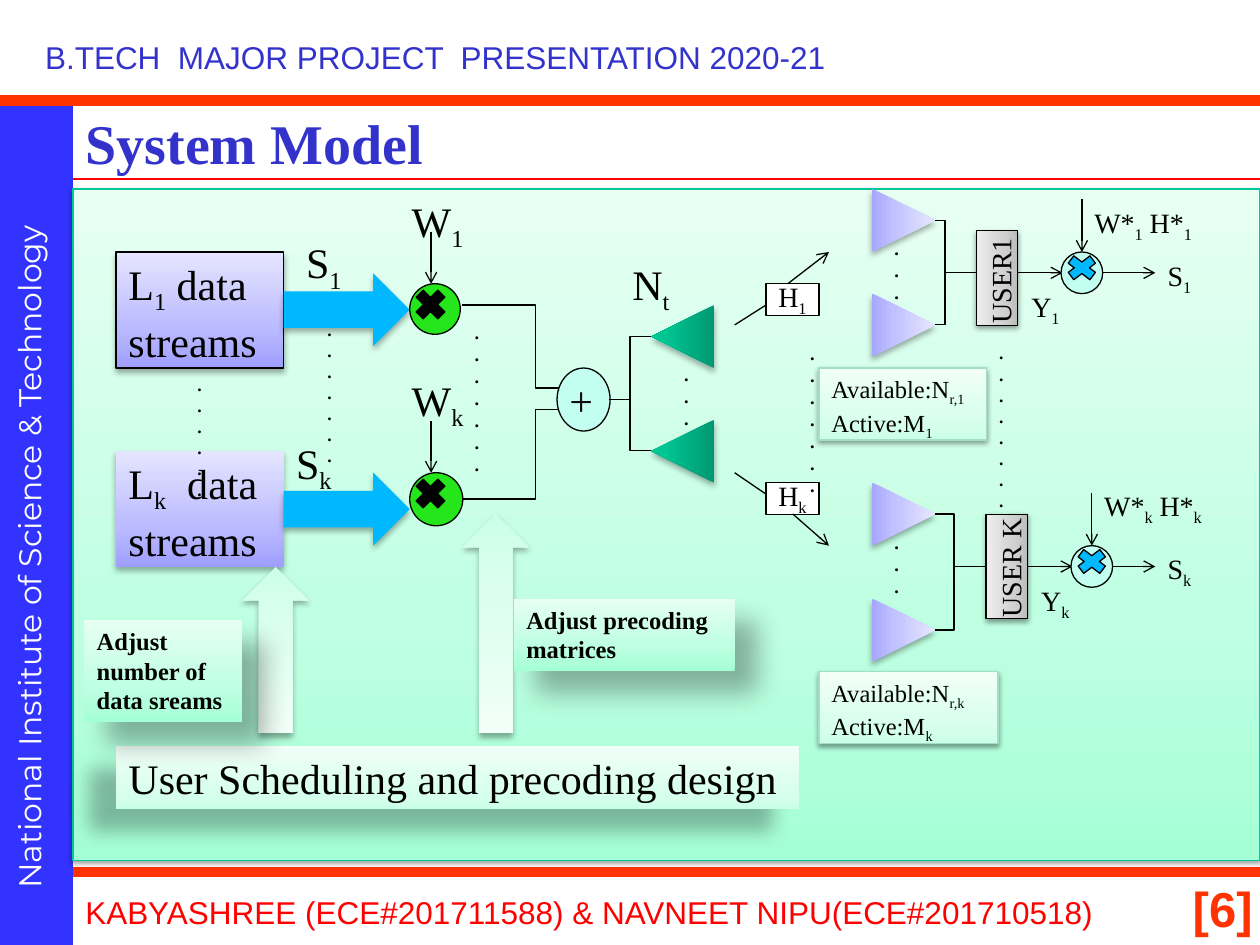
from lxml.etree import SubElement
from pptx import Presentation
from pptx.dml.color import RGBColor
from pptx.enum.shapes import MSO_CONNECTOR, MSO_SHAPE
from pptx.enum.text import MSO_ANCHOR, PP_ALIGN
from pptx.oxml.ns import qn
from pptx.util import Cm, Pt

SERIF = "Times New Roman"
VIOLET = [(0, "9F9FFF"), (35, "BBBBFF"), (100, "E5E5FF")]
LILAC = [(0, "A7A7FF"), (35, "C1C1FF"), (100, "E7E7FF")]
MINT = [(0, "A5FFD6"), (35, "BFFFE2"), (100, "E7FFF3")]
PALE = [(0, "CCFFE8"), (35, "DAFFEE"), (100, "F1FFF8")]
GREEN = [(0, "009872"), (80, "00C694"), (100, "00C795")]
GREY = [(0, "BDBDBD"), (35, "D1D1D1"), (100, "EEEEEE")]
SOFT = (32, 3.5, 2.2, 90)
THIN = (38, 3.1, 1.6, 90)
DEEP = (30, 15, 18, 45)
WIDE = (28, 11.8, 19.7, 141)


def rgb(value):
    """Turn a hex string into a colour."""
    return RGBColor.from_string(value)


def set_gradient(sp, stops):
    """Fill a shape with a gradient that rises from its bottom edge."""
    sp.fill.gradient()
    sp.fill.gradient_angle = 90
    gs_list = sp._element.spPr.find(qn("a:gradFill")).find(qn("a:gsLst"))
    for gs in list(gs_list):
        gs_list.remove(gs)
    for pos, color in stops:
        gs = SubElement(gs_list, qn("a:gs"), pos=str(pos * 1000))
        SubElement(gs, qn("a:srgbClr"), val=color)


def set_shadow(sp, alpha, blur, dist, angle):
    """Give a shape an outer shadow."""
    effects = sp._element.spPr.find(qn("a:effectLst"))
    outer = SubElement(effects, qn("a:outerShdw"), blurRad=str(Pt(blur)), dist=str(Pt(dist)),
                       dir=str(angle * 60000), algn="ctr", rotWithShape="0")
    color = SubElement(outer, qn("a:srgbClr"), val="000000")
    SubElement(color, qn("a:alpha"), val=str(alpha * 1000))


def write(sp, text, size, color="000000", font=SERIF, bold=False, align=PP_ALIGN.LEFT,
          anchor=MSO_ANCHOR.TOP, wrap=True):
    """Write lines of text, with subscripts between tildes."""
    tf = sp.text_frame
    tf.word_wrap = wrap
    tf.vertical_anchor = anchor
    for i, line in enumerate(text.split("\n")):
        p = tf.add_paragraph() if i else tf.paragraphs[0]
        p.alignment = align
        p.font.size, p.font.name, p.font.bold = Pt(size), font, bold
        p.font.color.rgb = rgb(color)
        for j, part in enumerate(line.split("~")):
            if part:
                r = p.add_run()
                r.text = part
                if j % 2:
                    r._r.get_or_add_rPr().set("baseline", "-25000")


def add_shape(s, kind, x, y, w, h, fill, line=None, shadow=None, rotation=0):
    """Add a preset shape with a plain or gradient fill."""
    sp = s.shapes.add_shape(kind, Cm(x), Cm(y), Cm(w), Cm(h))
    sp.rotation = rotation
    sp.shadow.inherit = False
    if isinstance(fill, list):
        set_gradient(sp, fill)
    else:
        sp.fill.solid()
        sp.fill.fore_color.rgb = rgb(fill)
    if line:
        sp.line.color.rgb = rgb(line)
        sp.line.width = Pt(0.75)
    else:
        sp.line.fill.background()
    if shadow:
        set_shadow(sp, *shadow)
    return sp


def add_label(s, text, x, y, w, h, size, rotation=0, **style):
    """Add a text box."""
    sp = s.shapes.add_textbox(Cm(x), Cm(y), Cm(w), Cm(h))
    sp.rotation = rotation
    write(sp, text, size, **style)


def add_card(s, text, x, y, w, h, size, fill, shadow, line=None, bold=False):
    """Add a filled box with text."""
    sp = add_shape(s, MSO_SHAPE.RECTANGLE, x, y, w, h, fill, line, shadow)
    write(sp, text, size, bold=bold)


def add_dots(s, x, y, count, size=10.5):
    """Add a column of dots."""
    add_label(s, "\n".join("." * count), x, y, 0.84, count * 0.42 + 0.25, size, bold=True)


def add_line(s, x1, y1, x2, y2, arrow=False, kind=MSO_CONNECTOR.STRAIGHT, color="000000", width=0.75):
    """Add a connector, with an open arrowhead if asked."""
    c = s.shapes.add_connector(kind, Cm(x1), Cm(y1), Cm(x2), Cm(y2))
    c.line.color.rgb = rgb(color)
    c.line.width = Pt(width)
    if arrow:
        SubElement(c.line._get_or_add_ln(), qn("a:tailEnd"), type="arrow")
    SubElement(c._element.spPr, qn("a:effectLst"))
    return c


def add_corner(s, x1, y1, x2, y2):
    """Add a connector with one bend, horizontal first."""
    c = add_line(s, x1, y1, x2, y2, kind=MSO_CONNECTOR.ELBOW)
    c._element.spPr.find(qn("a:prstGeom")).set("prst", "bentConnector2")


def add_antennas(s, x, tops, fill, rotation, tip_x, bus_x, bus_y):
    """Add a pair of antennas joined by a bus."""
    for y in tops:
        add_shape(s, MSO_SHAPE.ISOSCELES_TRIANGLE, x, y, 1.27, 1.27, fill, None, SOFT, rotation)
        add_corner(s, tip_x, y + 0.63, bus_x, bus_y)


def add_frame(s):
    """Add the bars, sidebar, header and footer."""
    add_line(s, 0, 17.58, 25.4, 17.58, color="FF3300", width=6)
    add_shape(s, MSO_SHAPE.RECTANGLE, 0, 2.03, 1.47, 17.02, "3333FF")
    add_label(s, "National Institute of Science & Technology", -7.24, 9.83, 15.65, 1.02, 18, 270,
              color="FFFFFF", font="Montserrat")
    add_line(s, 0, 2.03, 25.4, 2.03, color="FF3300", width=6)
    add_line(s, 1.47, 3.61, 25.4, 3.61, color="FF0000")
    add_label(s, "[6]", 22.76, 17.58, 2.74, 1.47, 28, color="FF3300", font="Arial", bold=True,
              align=PP_ALIGN.RIGHT)
    add_label(s, "B.TECH  MAJOR PROJECT  PRESENTATION 2020-21", 0.66, 0.64, 16.87, 1.04, 18,
              color="3333CC", font="Arial", wrap=False)
    add_label(s, "KABYASHREE (ECE#201711588) & NAVNEET NIPU(ECE#201710518)", 1.47, 17.88, 24.79,
              1.04, 18, color="FF0000", font="Arial")


def add_stream(s, k, text, box_y, arrow_y, mixer_y, size, label, weight_y):
    """Add one data stream with its precoding mixer."""
    add_card(s, text, 2.34, box_y, 3.38, 2.34, 24, VIOLET, SOFT, "000000" if k == "1" else None)
    add_shape(s, MSO_SHAPE.RIGHT_ARROW, 5.72, arrow_y, 2.54, 1.47, "00B8FF", None, SOFT)
    add_shape(s, MSO_SHAPE.OVAL, 8.26, mixer_y, size, size, "25E51B", "000000")
    add_shape(s, MSO_SHAPE.MATH_MULTIPLY, 8.26, mixer_y, 0.84, 0.84, "000000", "000000")
    add_line(s, 8.69, mixer_y - 1.04, 8.69, mixer_y, True)
    add_label(s, f"S~{k}~", *label, 1.7, 1.27, 24)
    add_label(s, f"W~{k}~", 8.05, weight_y, 2.11, 1.27, 24)


def add_channel(s, k, y, stub, arrow):
    """Add one channel box with its slanted line."""
    add_line(s, *stub)
    add_shape(s, MSO_SHAPE.RECTANGLE, 15.44, y, 1.07, 0.64, "FFFFFF", "000000")
    add_line(s, *arrow, True)
    add_label(s, f"H~{k}~", 15.44, y - 0.2, 1.27, 0.94, 16)


def add_receiver(s, k, name, x, y, length, box_dy, weight_y, card_y, card_w):
    """Add one user with its decoder; x and y place the mixer."""
    mid = y + 0.42
    add_line(s, x - 2.34, mid, x - 1.5, mid)
    add_shape(s, MSO_SHAPE.RECTANGLE, x - 1.29 - length / 2, mid + box_dy - 0.42, length, 0.84, GREY,
              "000000", THIN, 270)
    add_label(s, name, x - 2.49, mid - 0.47, 2.54, 0.94, 16, 270)
    add_line(s, x - 0.86, mid, x + 0.03, mid, True)
    add_shape(s, MSO_SHAPE.OVAL, x, y, 0.84, 0.84, "C2FFF0", "000000")
    cross = add_shape(s, MSO_SHAPE.MATH_MULTIPLY, x, y, 0.84, 0.64, "00B8FF", "000000")
    cross.adjustments[0] = 0.29
    add_line(s, x + 0.42, y - 1.06, x + 0.42, y, True)
    add_line(s, x + 0.84, mid, 23.29, mid, True)
    add_label(s, f"Y~{k}~", x - 0.85, y + 0.64, 1.7, 0.94, 16)
    add_label(s, f"W*~{k}~ H*~{k}~", x + 0.42, weight_y, 2.54, 0.94, 16)
    add_label(s, f"S~{k}~", 23.29, y, 1.7, 0.94, 16)
    add_card(s, f"Available:N~r,{k}~\nActive:M~{k}~", 16.51, card_y, card_w, 1.45, 14, PALE, THIN,
             "A5DEC6")


def main():
    """Build the slide."""
    prs = Presentation()
    prs.slide_width, prs.slide_height = Cm(25.4), Cm(19.05)
    s = prs.slides.add_slide(prs.slide_layouts[5])
    add_frame(s)
    title = s.shapes.title
    title.left, title.top, title.width, title.height = Cm(1.47), Cm(2.06), Cm(7.42), Cm(1.6)
    write(title, "System Model", 32, "3333CC", bold=True, align=PP_ALIGN.JUSTIFY,
          anchor=MSO_ANCHOR.MIDDLE)
    add_shape(s, MSO_SHAPE.RECTANGLE, 1.47, 3.81, 23.93, 13.54, MINT, "00C896", THIN)

    add_stream(s, "1", "L~1~ data\nstreams", 5.08, 5.51, 5.72, 1.02, (5.92, 4.65), 3.81)
    add_stream(s, "k", "L~k~  data\nstreams", 9.09, 9.53, 9.53, 1.07, (5.72, 8.69), 7.42)
    for y1, y2 in ((6.15, 7.82), (10.06, 8.26)):
        add_line(s, 9.32, y1, 12.27, y2, True, MSO_CONNECTOR.ELBOW)
    add_shape(s, MSO_SHAPE.OVAL, 11.23, 7.42, 1.07, 1.27, "C2FFF0", "000000")
    add_label(s, "+", 11.23, 7.42, 1.07, 1.27, 24, color="0D0D0D")
    add_line(s, 12.27, 8.05, 12.7, 8.05)
    add_antennas(s, 13.13, (6.15, 8.46), GREEN, 270, 13.13, 12.7, 7.82)
    add_label(s, "N~t~", 12.5, 5.08, 1.91, 1.27, 24)
    add_channel(s, "1", 5.72, (14.81, 6.55, 15.44, 6.15), (15.88, 5.72, 16.71, 5.08))
    add_channel(s, "k", 9.73, (14.81, 9.53, 15.44, 9.96), (15.98, 10.36, 16.71, 11))
    add_antennas(s, 17.58, (3.81, 5.92), LILAC, 90, 18.85, 19.05, 5.28)
    add_antennas(s, 17.58, (9.73, 12.07), LILAC, 90, 18.85, 19.23, 11.43)
    add_receiver(s, "1", "USER1", 21.39, 5.08, 1.91, 0.1, 4.01, 7.42, 3.38)
    add_receiver(s, "k", "USER K", 21.59, 11, 2.11, 0, 9.73, 13.54, 3.61)

    for x, y, count in ((13.54, 7.19, 3), (16.08, 6.78, 7), (17.78, 4.65, 3), (17.78, 10.59, 3),
                        (9.32, 6.35, 7)):
        add_dots(s, x, y, count)
    for x, y, count in ((6.35, 6.3, 7), (3.73, 7.42, 6), (19.89, 6.78, 8)):
        add_dots(s, x, y, count, 10)

    add_card(s, "User Scheduling and precoding design", 2.34, 15.04, 13.77, 1.27, 24, PALE, WIDE)
    for x, y, h in ((4.88, 11.43, 3.35), (9.32, 10.36, 4.42)):
        add_shape(s, MSO_SHAPE.DOWN_ARROW, x, y, 1.35, h, PALE, None, SOFT, 180)
    add_card(s, "Adjust number of data sreams", 1.7, 12.5, 3.18, 2.06, 14, MINT, DEEP, bold=True)
    add_card(s, "Adjust precoding matrices", 10.36, 12.07, 4.45, 1.45, 14, MINT, DEEP, bold=True)
    prs.save("out.pptx")


main()
